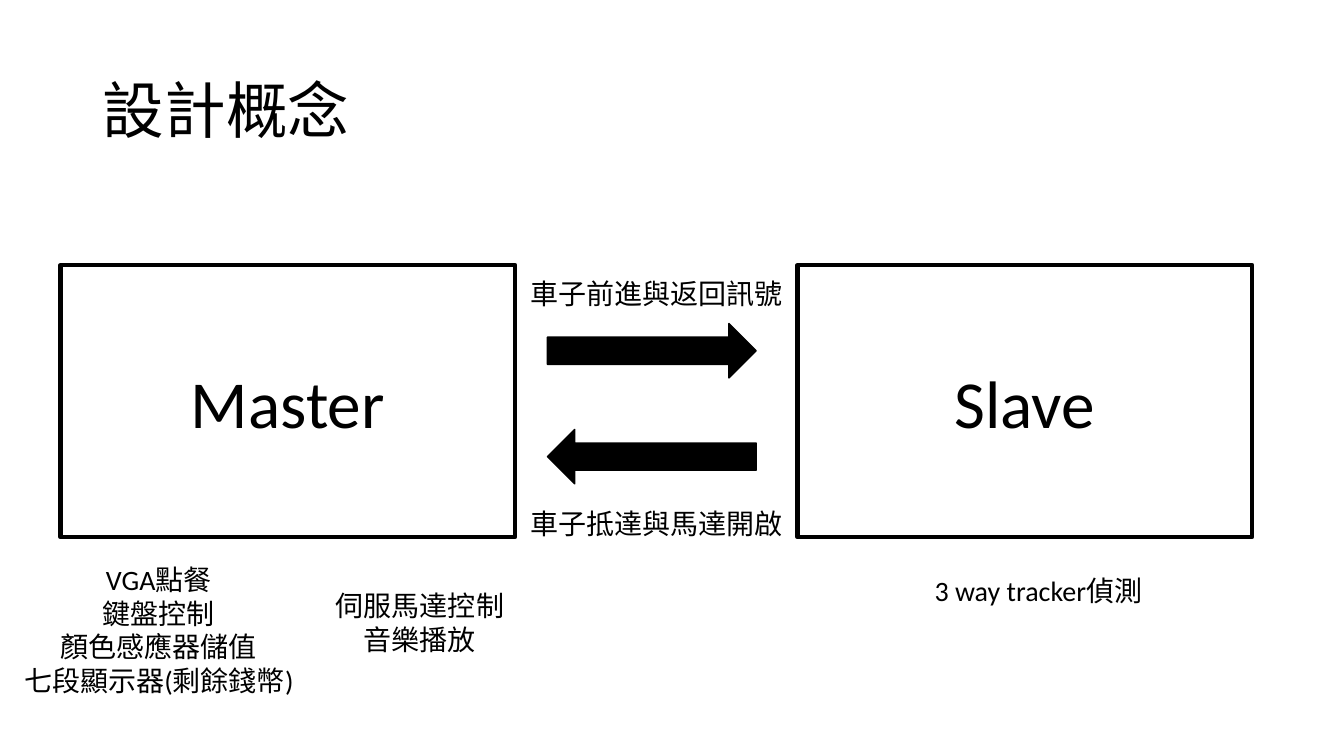
import pptx
import pptx.util
import pptx.dml.color
import pptx.enum.shapes
import pptx.enum.text

Inches = pptx.util.Inches
Pt = pptx.util.Pt
Align = pptx.enum.text.PP_ALIGN
Anchor = pptx.enum.text.MSO_ANCHOR
Preset = pptx.enum.shapes.MSO_SHAPE
BLACK = pptx.dml.color.RGBColor(0, 0, 0)
WHITE = pptx.dml.color.RGBColor(255, 255, 255)


class ConceptSlide:
    font_name = "Calibri"

    def __init__(self, presentation):
        self.slide = presentation.slides.add_slide(presentation.slide_layouts[5])

    def set_text(self, shape, lines, size, alignment, anchor):
        frame = shape.text_frame
        frame.text = "\n".join(lines)
        frame.word_wrap = True
        frame.vertical_anchor = anchor
        for paragraph in frame.paragraphs:
            paragraph.alignment = alignment
            paragraph.font.name = self.font_name
            paragraph.font.size = Pt(size)
            paragraph.font.color.rgb = BLACK

    def title(self, text, left, top, width, height):
        shape = self.slide.shapes.title
        shape.left, shape.top = Inches(left), Inches(top)
        shape.width, shape.height = Inches(width), Inches(height)
        self.set_text(shape, [text], 44, Align.LEFT, Anchor.MIDDLE)
        shape.text_frame.auto_size = pptx.enum.text.MSO_AUTO_SIZE.NONE
        shape.text_frame.paragraphs[0].line_spacing = 0.9

    def preset(self, kind, left, top, width, height, fill, line_width):
        shape = self.slide.shapes.add_shape(
            kind, Inches(left), Inches(top), Inches(width), Inches(height))
        shape.shadow.inherit = False
        shape.fill.solid()
        shape.fill.fore_color.rgb = fill
        shape.line.color.rgb = BLACK
        shape.line.width = Pt(line_width)
        return shape

    def board(self, name, left):
        shape = self.preset(Preset.RECTANGLE, left, 2.63, 4.51, 2.7, WHITE, 3)
        self.set_text(shape, [name], 48, Align.CENTER, Anchor.MIDDLE)

    def arrow(self, top, rotation):
        shape = self.preset(Preset.RIGHT_ARROW, 5.43, top, 2.07, 0.54, BLACK, 1)
        shape.rotation = rotation

    def label(self, lines, left, top, width, height, alignment=Align.LEFT):
        box = self.slide.shapes.add_textbox(
            Inches(left), Inches(top), Inches(width), Inches(height))
        self.set_text(box, lines, 20, alignment, Anchor.TOP)


def main():
    presentation = pptx.Presentation()
    presentation.slide_width = Inches(13.33)
    presentation.slide_height = Inches(7.5)
    concept = ConceptSlide(presentation)

    concept.title("設計概念", 0.92, 0.4, 11.5, 1.45)
    for name, left in (("Master", 0.6), ("Slave", 7.91)):
        concept.board(name, left)
    for top, rotation in ((3.21, 0), (4.26, 180)):
        concept.arrow(top, rotation)
    for signal, top in (("車子前進與返回訊號", 2.69), ("車子抵達與馬達開啟", 4.98)):
        concept.label([signal], 5.16, top, 3.35, 0.44)

    concept.label(["3 way tracker偵測"], 9.17, 5.64, 4.51, 0.44)
    concept.label(["VGA點餐", "鍵盤控制", "顏色感應器儲值", "七段顯示器(剩餘錢幣)"],
                  -1.07, 5.53, 5.29, 1.78, Align.CENTER)
    concept.label(["伺服馬達控制", "音樂播放"], 1.52, 5.79, 5.29, 1.11, Align.CENTER)

    presentation.save("out.pptx")


if __name__ == "__main__":
    main()
